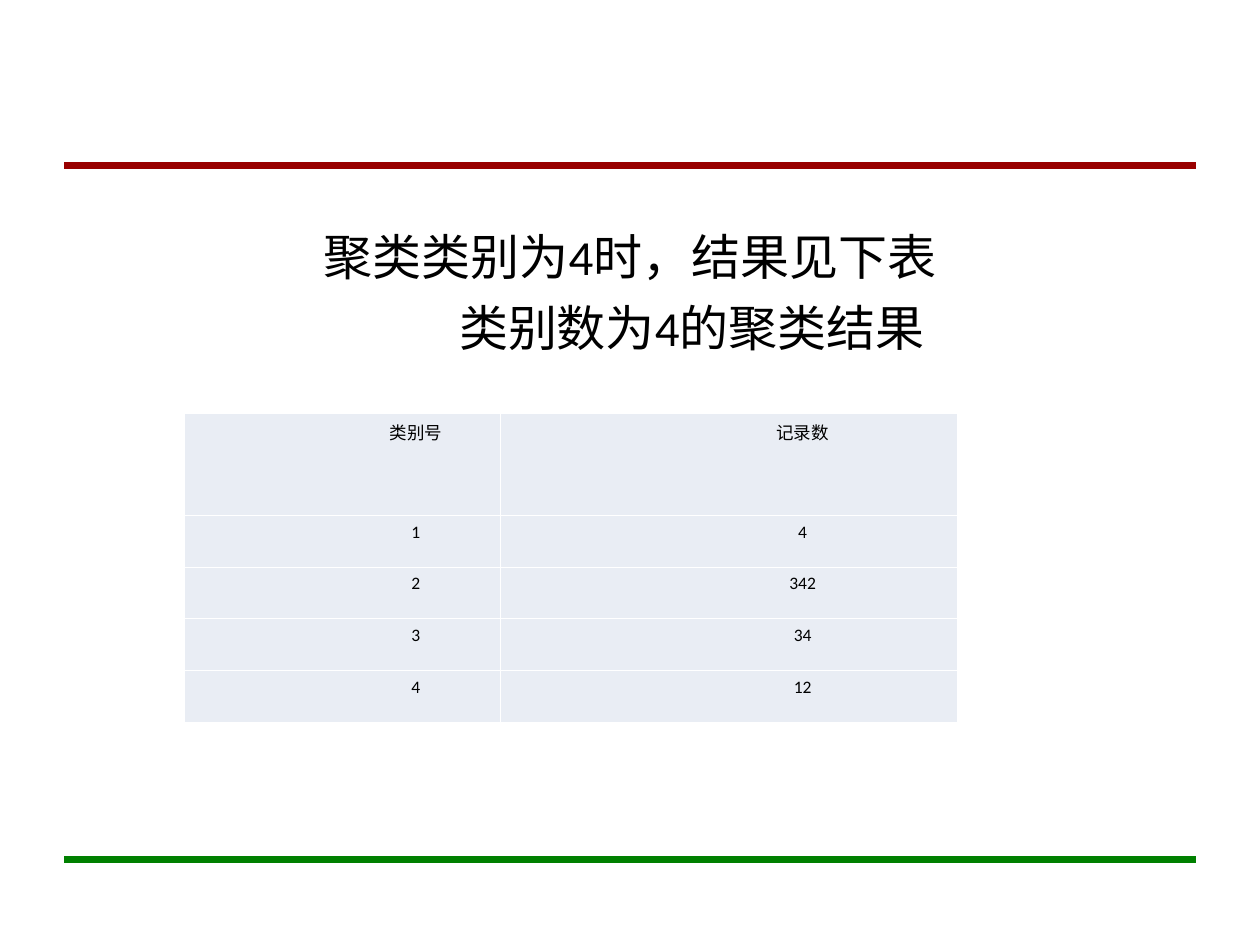
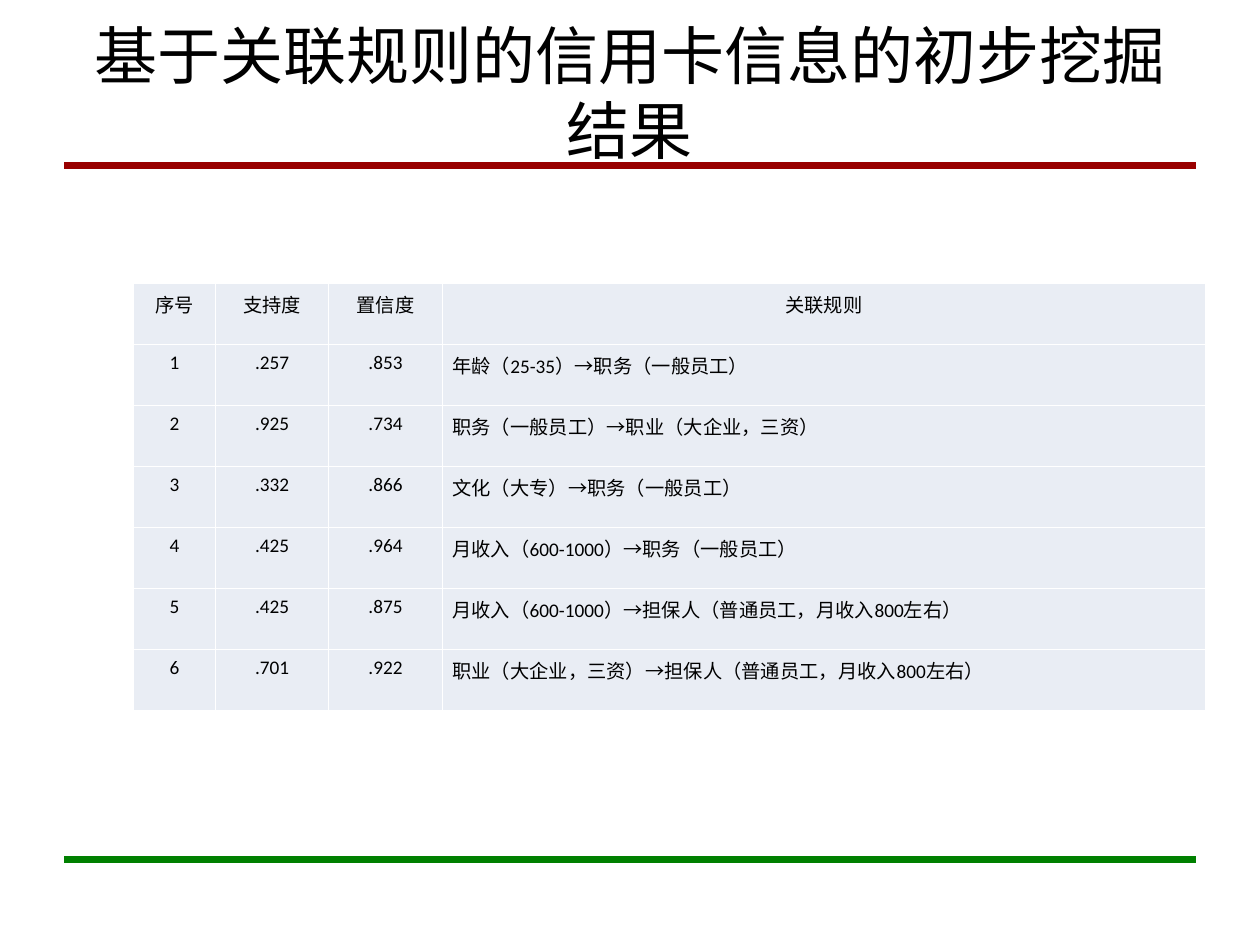
from lxml.etree import SubElement
from pptx import Presentation
from pptx.dml.color import RGBColor
from pptx.enum.shapes import MSO_CONNECTOR
from pptx.enum.text import MSO_ANCHOR, PP_ALIGN
from pptx.oxml.ns import qn
from pptx.util import Inches, Pt

FONT = "Calibri"
BLACK = "000000"
WHITE = "FFFFFF"
RED = "990000"
GREEN = "008000"
PALE = "E9EDF4"
LEFT, RIGHT = 0.51, 9.49
BANDS = [(6.82, GREEN), (1.31, RED)]

GROUPS = [
    ("类别号", "记录数"),
    ("1", "4"),
    ("2", "342"),
    ("3", "34"),
    ("4", "12"),
]
RULES = [
    ("序号", "支持度", "置信度", "关联规则"),
    ("1", ".257", ".853", "年龄（25-35）→职务（一般员工）"),
    ("2", ".925", ".734", "职务（一般员工）→职业（大企业，三资）"),
    ("3", ".332", ".866", "文化（大专）→职务（一般员工）"),
    ("4", ".425", ".964", "月收入（600-1000）→职务（一般员工）"),
    ("5", ".425", ".875", "月收入（600-1000）→担保人（普通员工，月收入800左右）"),
    ("6", ".701", ".922", "职业（大企业，三资）→担保人（普通员工，月收入800左右）"),
]


def color(code):
    return RGBColor.from_string(code)


def style(para, size, align=PP_ALIGN.CENTER):
    para.alignment = align
    for run in para.runs:
        run.font.name = FONT
        run.font.size = Pt(size)
        run.font.color.rgb = color(BLACK)


def indent(para, left):
    props = para._p.get_or_add_pPr()
    props.set("marL", str(Inches(left)))
    props.set("indent", "0")


def add_band(slide, top, code):
    ends = [Inches(n) for n in (LEFT, top, RIGHT, top)]
    band = slide.shapes.add_connector(MSO_CONNECTOR.STRAIGHT, *ends)
    band.line.color.rgb = color(code)
    band.line.width = Pt(4)
    SubElement(band._element.spPr, qn("a:effectLst"))


def add_page(deck):
    slide = deck.slides.add_slide(deck.slide_layouts[6])
    slide.background.fill.solid()
    slide.background.fill.fore_color.rgb = color(WHITE)
    for top, code in BANDS:
        add_band(slide, top, code)
    return slide


def add_text(slide, area, text, size, anchor=MSO_ANCHOR.TOP):
    box = slide.shapes.add_textbox(*[Inches(n) for n in area])
    frame = box.text_frame
    frame.word_wrap = True
    frame.vertical_anchor = anchor
    frame.text = text
    for para in frame.paragraphs:
        style(para, size)
    return frame


def add_edges(cell):
    props = cell._tc.get_or_add_tcPr()
    for side in ("lnL", "lnR", "lnT", "lnB"):
        edge = SubElement(props, qn("a:" + side), w=str(Pt(0.45)))
        fill = SubElement(edge, qn("a:solidFill"))
        SubElement(fill, qn("a:srgbClr"), val=WHITE)


def fill_cell(cell, text, size, pad, left, align):
    cell.text_frame.text = text
    cell.margin_left = cell.margin_right = Inches(pad)
    cell.margin_top = cell.margin_bottom = Inches(0.05)
    add_edges(cell)
    cell.fill.solid()
    cell.fill.fore_color.rgb = color(PALE)
    para = cell.text_frame.paragraphs[0]
    indent(para, left)
    style(para, size, align)


def add_grid(slide, spot, data, widths, heights, size, pad, left=0, prose=None):
    area = [Inches(n) for n in (*spot, sum(widths), sum(heights))]
    grid = slide.shapes.add_table(len(data), len(widths), *area).table
    grid.first_row = grid.horz_banding = False
    for col, width in zip(grid.columns, widths):
        col.width = Inches(width)
    for row, height in zip(grid.rows, heights):
        row.height = Inches(height)
    for r, line in enumerate(data):
        for c, text in enumerate(line):
            body = r > 0 and c == prose
            align = PP_ALIGN.JUSTIFY if body else PP_ALIGN.CENTER
            fill_cell(grid.cell(r, c), text, size, pad, left, align)


def add_groups(deck):
    slide = add_page(deck)
    text = "聚类类别为4时，结果见下表\n类别数为4的聚类结果"
    frame = add_text(slide, (0.5, 1.75, 9, 4.95), text, 28)
    label = frame.paragraphs[1]
    label.space_before = Pt(7)
    indent(label, 0.98)
    heights = [0.81] + [0.41] * 4
    add_grid(slide, (1.46, 3.28), GROUPS, [2.51, 3.63], heights, 10, 0.07, left=1.17)


def add_rules(deck):
    slide = add_page(deck)
    title = "基于关联规则的信用卡信息的初步挖掘结果"
    add_text(slide, (0.5, 0.13, 9, 1.2), title, 36, MSO_ANCHOR.MIDDLE)
    widths = [0.65, 0.9, 0.9, 6.06]
    heights = [3.39 / len(RULES)] * len(RULES)
    add_grid(slide, (1.06, 2.25), RULES, widths, heights, 11, 0.08, prose=3)


def main():
    deck = Presentation()
    deck.slide_width = Inches(10)
    deck.slide_height = Inches(7.5)
    add_groups(deck)
    add_rules(deck)
    deck.save("out.pptx")


if __name__ == "__main__":
    main()
